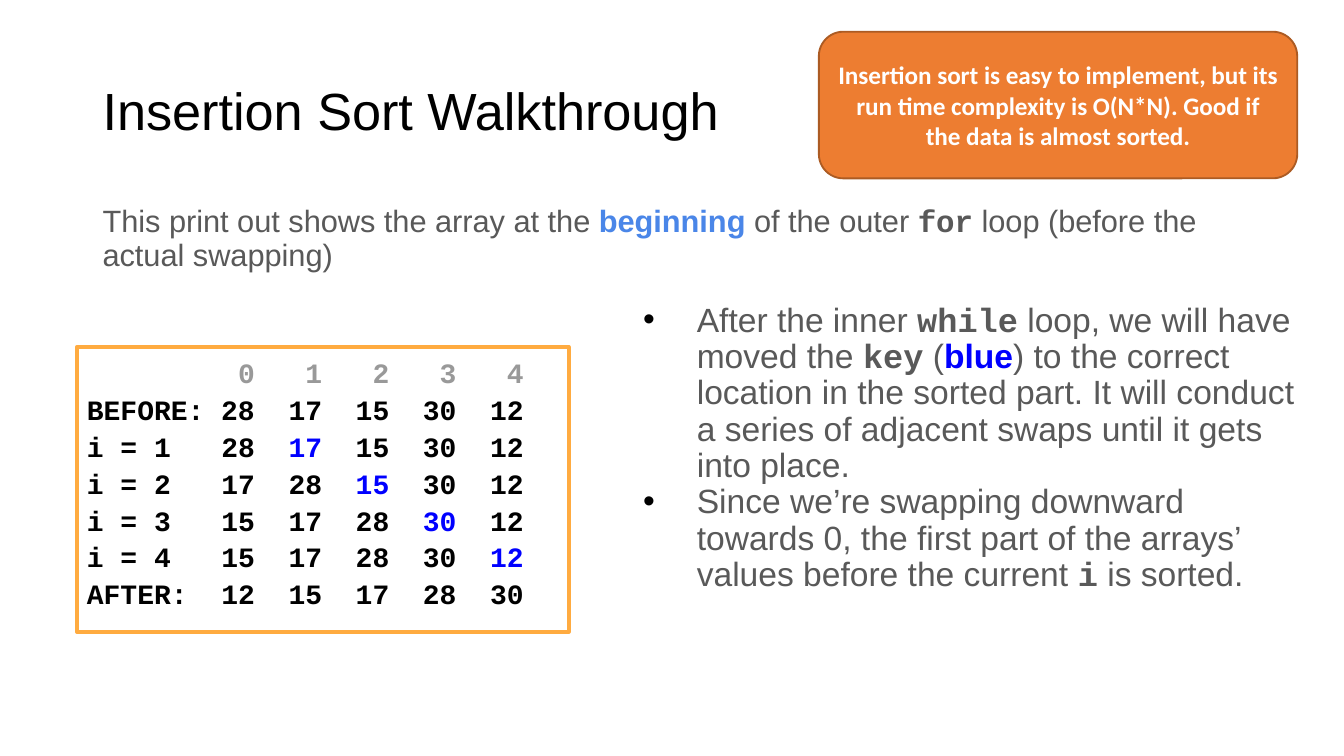
"""Build the insertion sort walkthrough slide."""
import pptx
import pptx.util
import pptx.dml.color
import pptx.enum.shapes
import pptx.enum.text
import pptx.oxml.ns
import lxml.etree

HUES = {"ink": "000000", "gray": "595959", "pale": "999999", "blue": "0000FF",
        "sky": "4A86E8", "white": "FFFFFF", "gold": "FFAB40",
        "orange": "ED7D31", "rust": "AC5B23"}
LOOKS = {
    "title": ("Arial", 28, False, "ink"),
    "lead": ("Arial", 16.5, False, "gray"),
    "start": ("Arial", 16.5, True, "sky"),
    "loop": ("Courier New", 16.5, True, "gray"),
    "note": ("Arial", 18, False, "gray"),
    "code": ("Courier New", 18, True, "gray"),
    "mark": ("Arial", 18, True, "blue"),
    "head": ("Courier New", 15, True, "pale"),
    "row": ("Courier New", 15, True, "ink"),
    "key": ("Courier New", 15, True, "blue"),
    "tip": ("Calibri", 13.5, True, "white"),
}
ANCHOR = pptx.enum.text.MSO_ANCHOR
ALIGN = pptx.enum.text.PP_ALIGN
KINDS = pptx.enum.shapes.MSO_SHAPE
Pt = pptx.util.Pt
Inches = pptx.util.Inches

deck = pptx.Presentation()
deck.slide_width = Inches(10)
deck.slide_height = deck.slide_width * 9 // 16
col, row = deck.slide_width / 100, deck.slide_height / 100
slide = deck.slides.add_slide(deck.slide_layouts[5])


def tint(name):
    return pptx.dml.color.RGBColor.from_string(HUES[name])


def write(shape, lines, space=0.9, align=ALIGN.LEFT, anchor=ANCHOR.TOP):
    frame = shape.text_frame
    form = {"word_wrap": True, "auto_size": pptx.enum.text.MSO_AUTO_SIZE.NONE,
            "vertical_anchor": anchor,
            "margin_left": Pt(5.4), "margin_right": Pt(5.4),
            "margin_top": Pt(2.7), "margin_bottom": Pt(2.7)}
    for name, value in form.items():
        setattr(frame, name, value)
    for at, line in enumerate(lines):
        para = frame.add_paragraph() if at else frame.paragraphs[0]
        form = {"alignment": align, "line_spacing": space,
                "space_before": Pt(0), "space_after": Pt(0)}
        for name, value in form.items():
            setattr(para, name, value)
        for text, look in line:
            run = para.add_run()
            run.text = text
            face, size, bold, hue = LOOKS[look]
            form = {"name": face, "size": Pt(size), "bold": bold}
            for name, value in form.items():
                setattr(run.font, name, value)
            run.font.color.rgb = tint(hue)


title = slide.shapes.title
form = {"left": 6.88 * col, "top": 5.32 * row,
        "width": 86.25 * col, "height": 19.33 * row}
for name, value in form.items():
    setattr(title, name, int(value))
write(title, [[("Insertion Sort Walkthrough", "title")]], anchor=ANCHOR.MIDDLE)

lead = slide.shapes.add_textbox(
    int(6.88 * col), int(26.62 * row), int(86.25 * col), int(17.24 * row))
write(lead, [[("This print out shows the array at the ", "lead"),
              ("beginning", "start"), (" of the outer ", "lead"),
              ("for", "loop"),
              (" loop (before the actual swapping)", "lead")]])

cards = {}
for name, kind, x, y, wide, high, fill, edge, weight in (
        ("trace", KINDS.RECTANGLE, 5.72, 45.9, 36.6, 37.7, "white", "gold", 2),
        ("tip", KINDS.ROUNDED_RECTANGLE, 60.93, 4.2, 35.6, 19.4,
         "orange", "rust", 1)):
    card = slide.shapes.add_shape(
        kind, int(x * col), int(y * row), int(wide * col), int(high * row))
    card.shadow.inherit = False
    card.fill.solid()
    card.fill.fore_color.rgb = tint(fill)
    card.line.color.rgb = tint(edge)
    card.line.width = Pt(weight)
    cards[name] = card

lines = [[("\t" + "".join(f"\t {n}" for n in range(5)), "head")]]
for label, data, key in (
        ("BEFORE: ", "28 17 15 30 12", None),
        ("i = 1\t", "28 17 15 30 12", 1),
        ("i = 2\t", "17 28 15 30 12", 2),
        ("i = 3\t", "15 17 28 30 12", 3),
        ("i = 4\t", "15 17 28 30 12", 4),
        ("AFTER: \t", "12 15 17 28 30", None)):
    cells = data.split()
    line = [(label + "\t".join(cells[:key]), "row")]
    if key:
        line = [(line[0][0] + "\t", "row"), (cells[key], "key")]
        if cells[key + 1:]:
            line.append(("\t" + "\t".join(cells[key + 1:]), "row"))
    lines.append(line)
write(cards["trace"], lines, space=1.1)
for para in cards["trace"].text_frame.paragraphs:
    tabs = lxml.etree.SubElement(
        para._p.get_or_add_pPr(), pptx.oxml.ns.qn("a:tabLst"))
    for stop in range(1, 7):
        lxml.etree.SubElement(tabs, pptx.oxml.ns.qn("a:tab"),
                              pos=str(Inches(stop / 2)), algn="l")

notes = slide.shapes.add_textbox(
    int(46.1 * col), int(39.45 * row), int(51.6 * col), int(46.22 * row))
write(notes, [
    [("After the inner ", "note"), ("while", "code"),
     (" loop, we will have moved the ", "note"), ("key", "code"),
     (" (", "note"), ("blue", "mark"),
     (") to the correct location in the sorted part. It will conduct a series "
      "of adjacent swaps until it gets into place.", "note")],
    [("Since we’re swapping downward towards 0, the first part of the arrays’ "
      "values before the current ", "note"), ("i", "code"),
     (" is sorted.", "note")]])
for para in notes.text_frame.paragraphs:
    props = para._p.get_or_add_pPr()
    props.set("marL", str(Inches(0.5)))
    props.set("indent", str(Inches(-0.4)))
    hue = lxml.etree.SubElement(props, pptx.oxml.ns.qn("a:buClr"))
    lxml.etree.SubElement(hue, pptx.oxml.ns.qn("a:srgbClr"), val=HUES["ink"])
    lxml.etree.SubElement(props, pptx.oxml.ns.qn("a:buFont"), typeface="Arial")
    lxml.etree.SubElement(props, pptx.oxml.ns.qn("a:buChar"), char="•")

write(cards["tip"], [[("Insertion sort is easy to implement, but its run time "
                       "complexity is O(N*N). Good if the data is almost "
                       "sorted.", "tip")]],
      space=1.0, align=ALIGN.CENTER, anchor=ANCHOR.MIDDLE)

deck.save("out.pptx")
